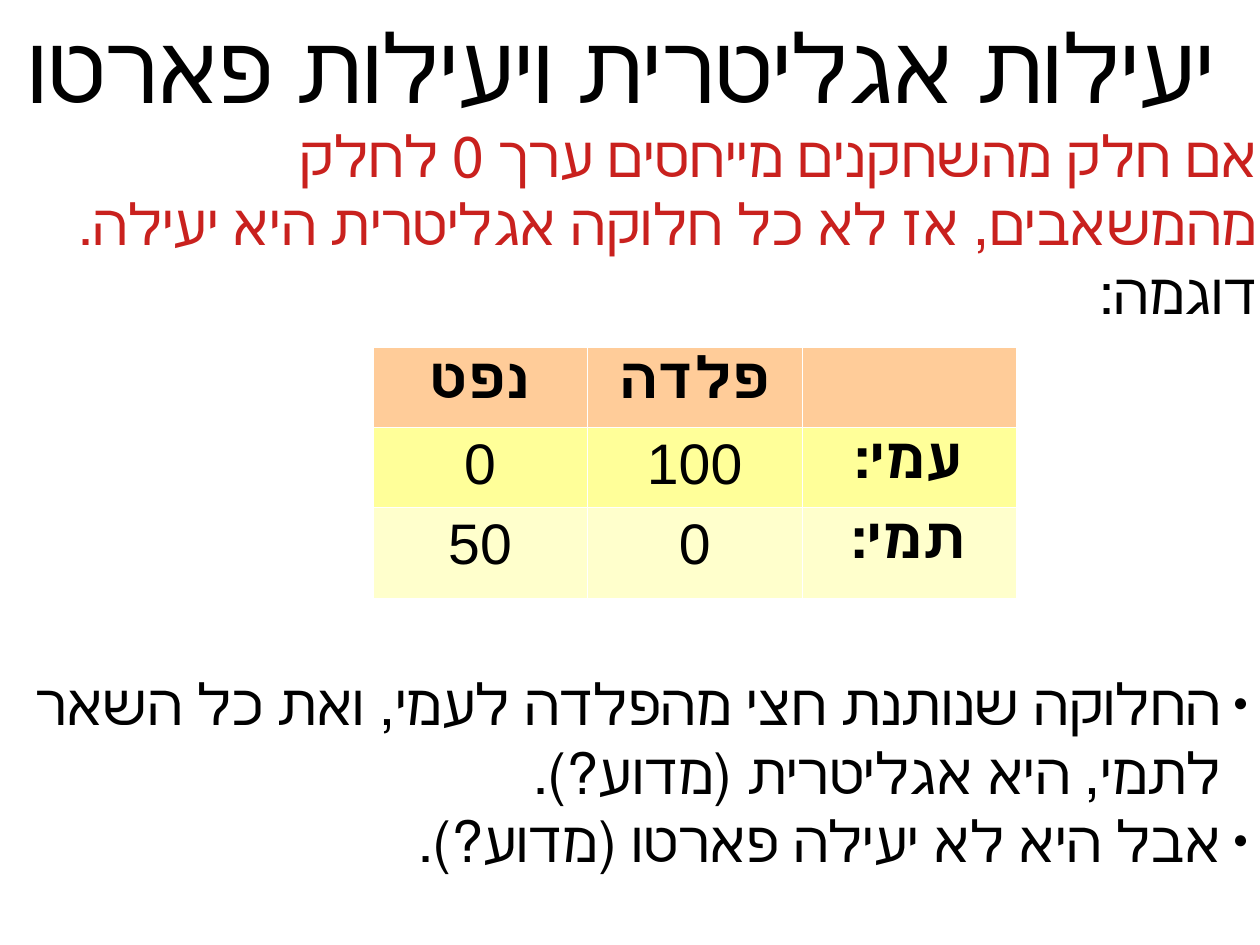
"""Build a Hebrew slide on egalitarian and Pareto efficiency."""
import pptx
import pptx.util
import pptx.dml.color
import pptx.enum.text
import pptx.oxml
import pptx.oxml.ns

Pt = pptx.util.Pt
Align = pptx.enum.text.PP_ALIGN
Anchor = pptx.enum.text.MSO_ANCHOR
NS = pptx.oxml.ns.nsdecls("a")


def paint(target, color):
    target.rgb = pptx.dml.color.RGBColor.from_string(color)


def style(para, size, align, rtl=True, bold=False):
    para.alignment = align
    if rtl:
        para._p.get_or_add_pPr().set("rtl", "1")
    para.font.name = "Arial"
    para.font.size = Pt(size)
    para.font.bold = bold
    paint(para.font.color, "000000")


deck = pptx.Presentation()
deck.slide_width, deck.slide_height = Pt(793.7), Pt(595.28)
slide = deck.slides.add_slide(deck.slide_layouts[6])

frames = []
for left, top, height in ((0, 3.6, 75.6), (0, 72, 128), (-5.75, 417.6, 128)):
    box = slide.shapes.add_textbox(Pt(left), Pt(top), Pt(799.2), Pt(height))
    box.text_frame.word_wrap = True
    frames.append(box.text_frame)
title, claim, notes = frames

title.margin_left = title.margin_right = title.margin_top = title.margin_bottom = 0
title.vertical_anchor = Anchor.MIDDLE
para = title.paragraphs[0]
para.text = "יעילות אגליטרית ויעילות פארטו"
para._p.get_or_add_pPr().set("marL", str(Pt(17)))
style(para, 60, Align.CENTER)

para = claim.paragraphs[0]
style(para, 36, Align.RIGHT)
for text, color in (
    ("אם חלק מהשחקנים מייחסים ערך 0 לחלק מהמשאבים, אז לא כל חלוקה אגליטרית היא יעילה. ", "C9211E"),
    ("דוגמה:", "000000"),
):
    run = para.add_run()
    run.text = text
    paint(run.font.color, color)

rows = (
    (49, "FFCC99", ("נפט", "פלדה", "")),
    (49, "FFFF99", ("0", "100", "עמי:")),
    (57, "FFFFCC", ("50", "0", "תמי:")),
)
table = slide.shapes.add_table(3, 3, Pt(234.8), Pt(218.6), Pt(405.6), Pt(155)).table
for col in table.columns:
    col.width = Pt(135.2)
for r, (height, fill, texts) in enumerate(rows):
    table.rows[r].height = Pt(height)
    for c, text in enumerate(texts):
        cell = table.cell(r, c)
        cell.fill.solid()
        paint(cell.fill.fore_color, fill)
        for i, side in enumerate("LRTB"):
            edge = pptx.oxml.parse_xml(
                f'<a:ln{side} {NS} w="{Pt(0.06)}"><a:solidFill>'
                f'<a:srgbClr val="FFFFFF"/></a:solidFill></a:ln{side}>'
            )
            cell._tc.get_or_add_tcPr().insert(i, edge)
        para = cell.text_frame.paragraphs[0]
        para.text = text
        label = r == 0 or c == 2
        style(para, 36, Align.CENTER, rtl=r > 0 and c == 2, bold=label)

points = (
    "החלוקה שנותנת חצי מהפלדה לעמי, ואת כל השאר לתמי, היא אגליטרית (מדוע?).",
    "אבל היא לא יעילה פארטו (מדוע?).",
)
notes.text = "\n".join(points)
for para in notes.paragraphs:
    props = para._p.get_or_add_pPr()
    props.set("marL", str(Pt(17)))
    props.set("indent", str(-Pt(17)))
    for mark in (
        f'<a:buClr {NS}><a:srgbClr val="000000"/></a:buClr>',
        f'<a:buSzPct {NS} val="45000"/>',
        f'<a:buFont {NS} typeface="Arial"/>',
        f'<a:buChar {NS} char="●"/>',
    ):
        props.append(pptx.oxml.parse_xml(mark))
    style(para, 36, Align.RIGHT)

deck.save("out.pptx")
